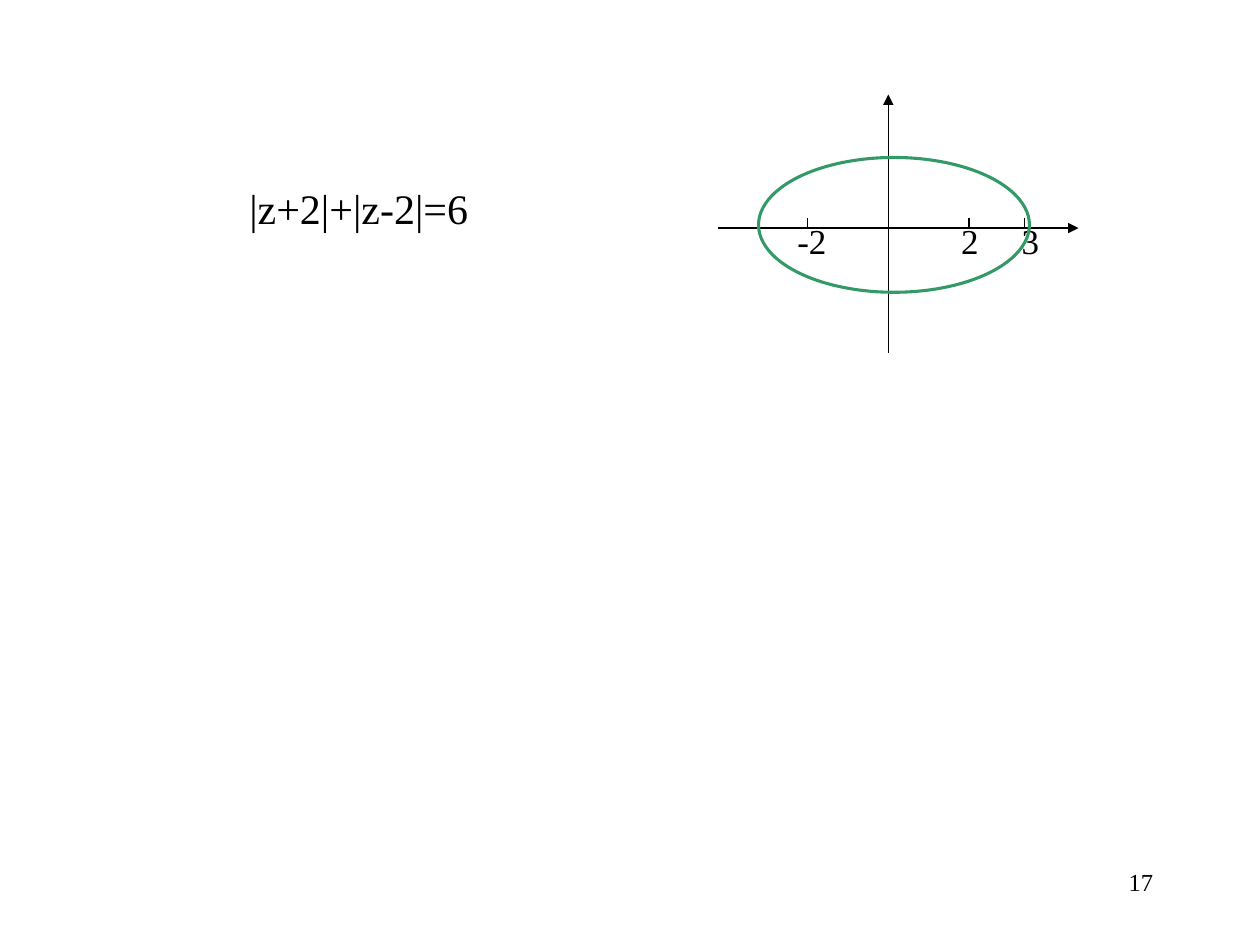
"""Builds a slide showing the ellipse |z+2|+|z-2|=6 on a pair of axes."""
from lxml import etree
from pptx import Presentation
from pptx import util as u
from pptx.dml.color import RGBColor
from pptx.enum import shapes, text
from pptx.oxml.ns import qn

COLOURS = {"ink": "000000", "curve": "339966"}
FONT = "Times New Roman"
WIDTH, HEIGHT = 10, 7.5

EQUATION = ("|z+2|+|z-2|=6", (1.88, 1.4, 1.95, 0.5), 24)
PAGE_NUMBER = ("17", (7.17, 6.83, 2.08, 0.5), 14)
ORIGIN = (7.05, 1.81)
X_RANGE, Y_RANGE = (5.7, 8.56), (2.8, 0.75)
ELLIPSE = (6.02, 1.25, 2.15, 1.07)
TICK_HEIGHT = 0.08
LABEL_TOP, LABEL_HEIGHT = 1.69, 0.44
MARKS = [("-2", 6.41, 6.23, 0.43), ("2", 7.69, 7.53, 0.34), ("3", 8.13, 8.01, 0.34)]


def inches(*lengths):
    return [u.Inches(length) for length in lengths]


def colour(name):
    return RGBColor.from_string(COLOURS[name])


def add_text(slide, words, box, size, align=text.PP_ALIGN.LEFT, wrap=True):
    frame = slide.shapes.add_textbox(*inches(*box)).text_frame
    frame.word_wrap = wrap
    paragraph = frame.paragraphs[0]
    paragraph.alignment = align
    run = paragraph.add_run()
    run.text = words
    run.font.name = FONT
    run.font.size = u.Pt(size)
    run.font.color.rgb = colour("ink")


def add_line(slide, start, end, arrow=False):
    connector = slide.shapes.add_connector(
        shapes.MSO_CONNECTOR.STRAIGHT, *inches(*start, *end))
    connector.line.color.rgb = colour("ink")
    connector.line.width = u.Pt(0.75)
    if arrow:
        line = connector.line._get_or_add_ln()
        etree.SubElement(line, qn("a:tailEnd"), type="triangle")
    etree.SubElement(connector._element.spPr, qn("a:effectLst"))


def add_ellipse(slide):
    ellipse = slide.shapes.add_shape(shapes.MSO_SHAPE.OVAL, *inches(*ELLIPSE))
    ellipse.shadow.inherit = False
    ellipse.fill.background()
    ellipse.line.color.rgb = colour("curve")
    ellipse.line.width = u.Pt(1.75)


def main():
    presentation = Presentation()
    presentation.slide_width, presentation.slide_height = inches(WIDTH, HEIGHT)
    slide = presentation.slides.add_slide(presentation.slide_layouts[6])

    add_text(slide, *PAGE_NUMBER, align=text.PP_ALIGN.RIGHT)
    add_text(slide, *EQUATION)

    origin_x, origin_y = ORIGIN
    add_line(slide, (X_RANGE[0], origin_y), (X_RANGE[1], origin_y), arrow=True)
    add_line(slide, (origin_x, Y_RANGE[0]), (origin_x, Y_RANGE[1]), arrow=True)

    for label, _, left, width in MARKS:
        add_text(slide, label, (left, LABEL_TOP, width, LABEL_HEIGHT), 20, wrap=False)
    add_ellipse(slide)
    for _, x, _, _ in MARKS:
        add_line(slide, (x, origin_y - TICK_HEIGHT), (x, origin_y))

    presentation.save("out.pptx")


if __name__ == "__main__":
    main()
